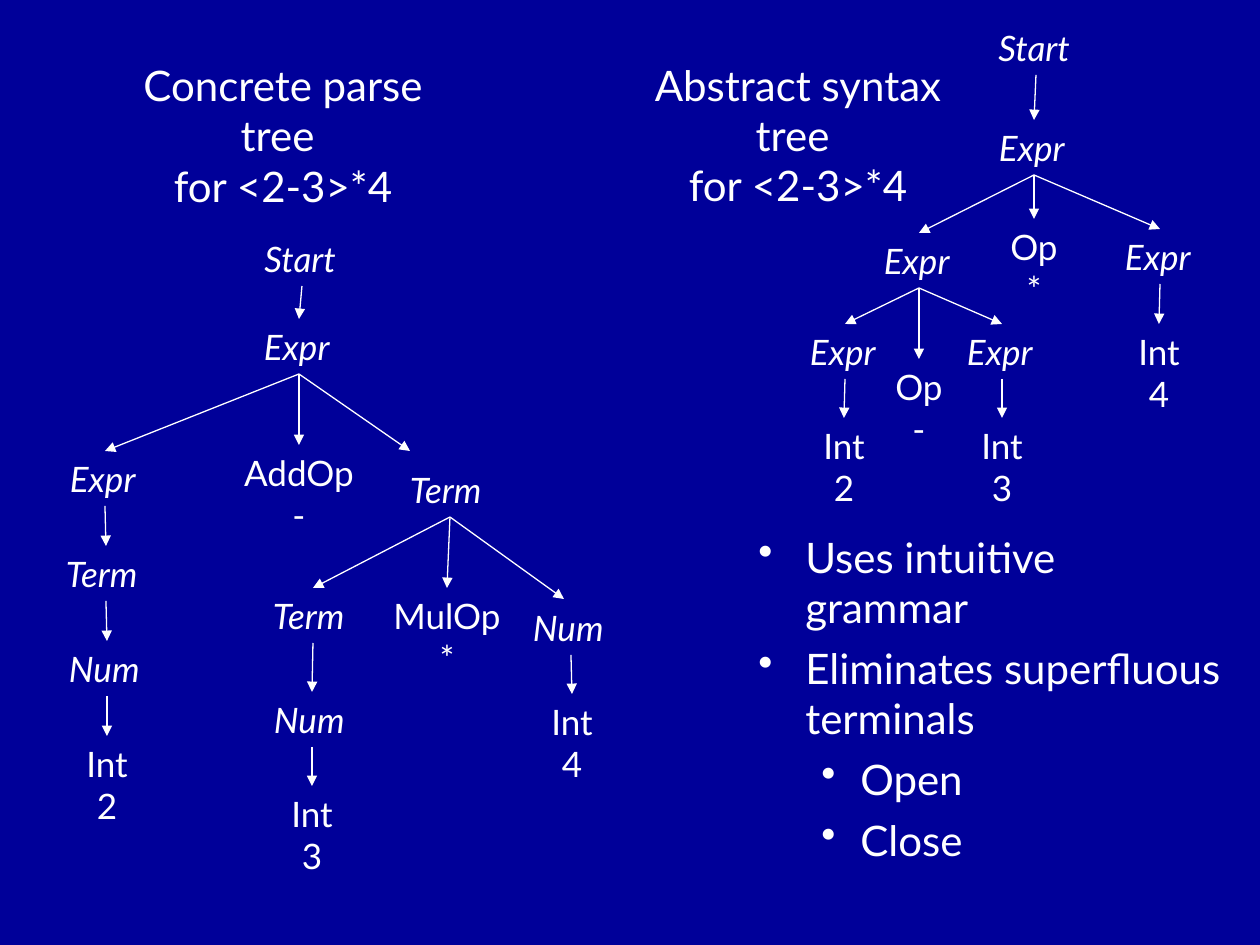
import dataclasses

import lxml.etree
import pptx
import pptx.dml.color
import pptx.enum.shapes
import pptx.enum.text
import pptx.oxml.ns
import pptx.util

ALIGN = pptx.enum.text.PP_ALIGN
FIT = pptx.enum.text.MSO_AUTO_SIZE
EMU_PER_PX = 914400 / 126


@dataclasses.dataclass(frozen=True)
class Theme:
    background: str = "000099"
    ink: str = "FFFFFF"
    font: str = "Lato"
    heading_size: int = 24
    node_size: int = 20
    line_width: float = 0.75
    bullet_gap: int = 6


@dataclasses.dataclass(frozen=True)
class Node:
    label: str
    center: int
    top: int
    children: tuple = ()
    tip: tuple = ()

    @property
    def is_phrase(self):
        return "\n" not in self.label

    @property
    def width(self):
        return NODE_WIDTHS[self.label.split("\n")[0]]

    @property
    def height(self):
        return 55 if self.is_phrase else 97


NODE_WIDTHS = {"Start": 100, "Expr": 95, "Term": 105, "Num": 101,
               "Op": 74, "AddOp": 140, "MulOp": 136, "Int": 71}

CONCRETE_TREE = Node("Start", 302, 231, (
    Node("Expr", 299, 319, (
        Node("Expr", 105, 451, (
            Node("Term", 106, 546, (
                Node("Num", 107, 641, (Node("Int\n2", 107, 736),)),)),)),
        Node("AddOp\n-", 299, 445),
        Node("Term", 450, 462, (
            Node("Term", 313, 588, (
                Node("Num", 312, 692, (Node("Int\n3", 312, 786),)),)),
            Node("MulOp\n*", 447, 588),
            Node("Num", 571, 600, (Node("Int\n4", 572, 694),), tip=(564, 599)),
        ), tip=(410, 451)),
    )),
))

ABSTRACT_TREE = Node("Start", 1036, 20, (
    Node("Expr", 1034, 120, (
        Node("Expr", 919, 233, (
            Node("Expr", 845, 324, (Node("Int\n2", 844, 418),)),
            Node("Op\n-", 919, 359),
            Node("Expr", 1002, 324, (Node("Int\n3", 1002, 418),)),
        )),
        Node("Op\n*", 1034, 219),
        Node("Expr", 1160, 229, (Node("Int\n4", 1159, 324),)),
    )),
))

BULLETS = (
    (0, "Uses intuitive grammar"),
    (0, "Eliminates superfluous terminals"),
    (1, "Open"),
    (1, "Close"),
)
BULLET_INDENTS = ((47, 47), (102, 39))


def px(length):
    return pptx.util.Emu(round(length * EMU_PER_PX))


def color(value):
    return pptx.dml.color.RGBColor.from_string(value)


class TreeSlide:
    def __init__(self, deck, theme):
        self.theme = theme
        self.page = deck.slides.add_slide(deck.slide_layouts[5])
        fill = self.page.background.fill
        fill.solid()
        fill.fore_color.rgb = color(theme.background)

    def text_box(self):
        return self.page.shapes.add_textbox(0, 0, 0, 0)

    def set_text(self, box, bounds, text, size, align=ALIGN.CENTER,
                 italic=False, wrap=True, fit=FIT.SHAPE_TO_FIT_TEXT):
        box.left, box.top, box.width, box.height = map(px, bounds)
        frame = box.text_frame
        frame.text = text
        frame.word_wrap = wrap
        frame.auto_size = fit
        frame.vertical_anchor = pptx.enum.text.MSO_ANCHOR.TOP
        for para in frame.paragraphs:
            para.alignment = align
            for span in para.runs:
                span.font.name = self.theme.font
                span.font.size = pptx.util.Pt(size)
                span.font.italic = italic
                span.font.color.rgb = color(self.theme.ink)
        return frame

    def heading(self, box, left, text):
        self.set_text(box, (left, 53, 378, 164), text, self.theme.heading_size)

    def bullets(self, bounds, items):
        text = "\n".join(label for level, label in items)
        frame = self.set_text(self.text_box(), bounds, text, self.theme.heading_size,
                              align=ALIGN.LEFT, fit=FIT.NONE)
        for index, (para, (level, label)) in enumerate(zip(frame.paragraphs, items)):
            para.level = level
            margin, hanging = BULLET_INDENTS[level]
            properties = para._p.get_or_add_pPr()
            properties.set("marL", str(px(margin)))
            properties.set("indent", str(px(-hanging)))
            tint = lxml.etree.SubElement(properties, pptx.oxml.ns.qn("a:buClr"))
            lxml.etree.SubElement(tint, pptx.oxml.ns.qn("a:srgbClr"), val=self.theme.ink)
            lxml.etree.SubElement(properties, pptx.oxml.ns.qn("a:buChar"), char="•")
            if index:
                para.space_before = pptx.util.Pt(self.theme.bullet_gap)

    def arrow(self, start, end):
        connector = self.page.shapes.add_connector(
            pptx.enum.shapes.MSO_CONNECTOR.STRAIGHT, *map(px, start + end))
        connector.line.color.rgb = color(self.theme.ink)
        connector.line.width = pptx.util.Pt(self.theme.line_width)
        lxml.etree.SubElement(connector.line._get_or_add_ln(),
                              pptx.oxml.ns.qn("a:tailEnd"), type="triangle")
        lxml.etree.SubElement(connector._element.spPr, pptx.oxml.ns.qn("a:effectLst"))

    def tree(self, node):
        bounds = (node.center - node.width / 2, node.top, node.width, node.height)
        self.set_text(self.text_box(), bounds, node.label, self.theme.node_size,
                      align=ALIGN.LEFT if node.is_phrase else ALIGN.CENTER,
                      italic=node.is_phrase, wrap=False)
        for child in node.children:
            self.arrow((node.center, node.top + node.height),
                       child.tip or (child.center, child.top))
            self.tree(child)


def main():
    deck = pptx.Presentation()
    deck.slide_width, deck.slide_height = px(1260), px(945)
    slide = TreeSlide(deck, Theme())
    slide.heading(slide.page.shapes.title, 94, "Concrete parse tree \nfor <2-3>*4")
    slide.heading(slide.text_box(), 609, "Abstract syntax tree \nfor <2-3>*4")
    slide.tree(CONCRETE_TREE)
    slide.tree(ABSTRACT_TREE)
    slide.bullets((746, 525, 494, 315), BULLETS)
    deck.save("out.pptx")


if __name__ == "__main__":
    main()
